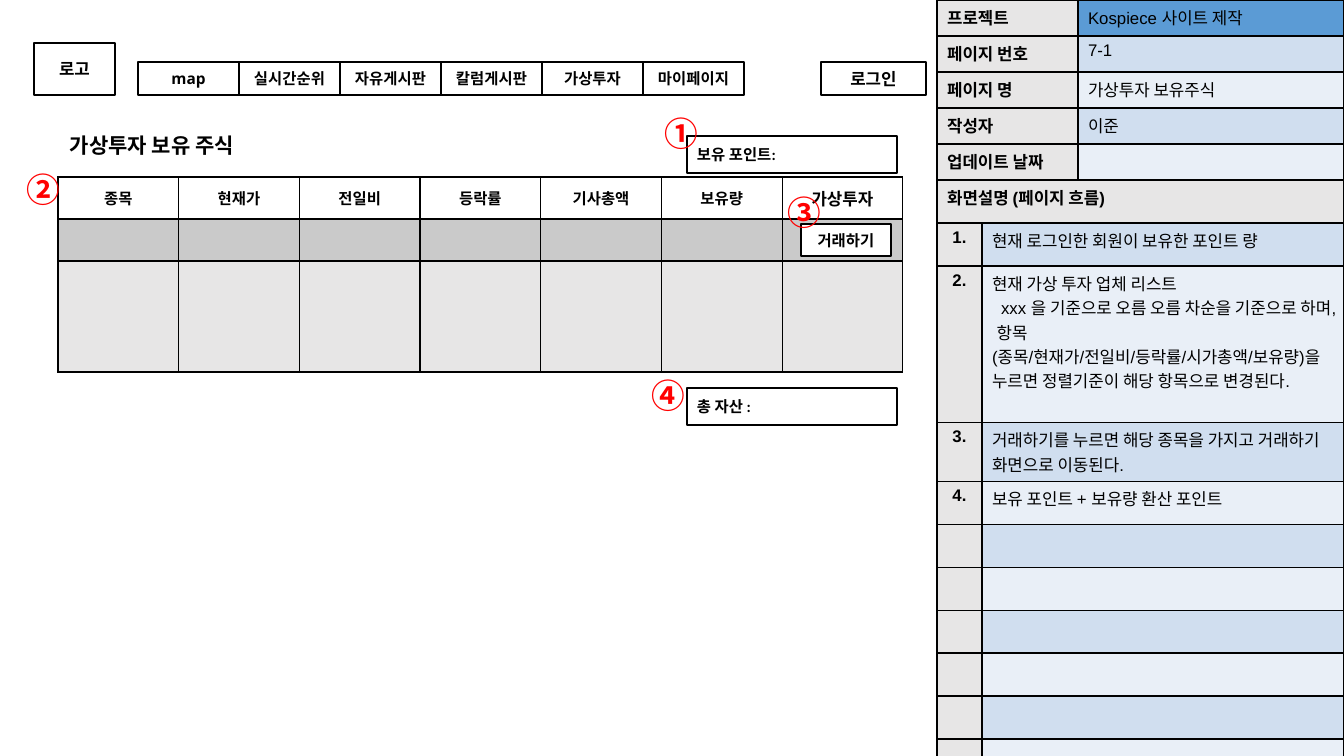
from lxml.etree import SubElement
from pptx import Presentation
from pptx.dml.color import RGBColor
from pptx.enum.shapes import MSO_SHAPE
from pptx.enum.text import MSO_ANCHOR, PP_ALIGN
from pptx.oxml.ns import qn
from pptx.util import Pt

PX = 9071
KOREAN_FONT = "Noto Sans CJK KR"
BLACK, WHITE, RED = "000000", "FFFFFF", "FF0000"
GRAY, DARK_GRAY = "E7E6E6", "CACACA"
BLUE, BLUE_BAND, PALE_BAND = "5B9BD5", "D0DEEF", "E9EFF7"
LEFT, CENTER = PP_ALIGN.LEFT, PP_ALIGN.CENTER


def write_text(text_frame, text, size, font_name, bold=True, align=LEFT, color=BLACK):
    text_frame.text = text
    for paragraph in text_frame.paragraphs:
        paragraph.alignment = align
        for run in paragraph.runs:
            run.font.size = Pt(size)
            run.font.bold = bold
            run.font.name = font_name
            run.font.color.rgb = RGBColor.from_string(color)
            SubElement(run._r.get_or_add_rPr(), qn("a:ea"), typeface=KOREAN_FONT)
        if not paragraph.runs:
            SubElement(paragraph._p, qn("a:endParaRPr"), sz=str(size * 100))


def add_grid(left, top, column_widths, row_heights, fills):
    frame = slide.shapes.add_table(
        len(row_heights), len(column_widths), left * PX, top * PX,
        sum(column_widths), sum(row_heights) * PX)
    table = frame.table
    table.first_row = False
    table.horz_banding = False
    for column, width in zip(table.columns, column_widths):
        column.width = width
    for row, height, row_fills in zip(table.rows, row_heights, fills):
        row.height = height * PX
        for cell, fill in zip(row.cells, row_fills):
            properties = cell._tc.get_or_add_tcPr()
            for side in ("a:lnL", "a:lnR", "a:lnT", "a:lnB"):
                border = SubElement(properties, qn(side), w=str(Pt(1)))
                solid = SubElement(border, qn("a:solidFill"))
                SubElement(solid, qn("a:srgbClr"), val=BLACK)
            cell.fill.solid()
            cell.fill.fore_color.rgb = RGBColor.from_string(fill)
            write_text(cell.text_frame, "", 12, "Arial")
    return table


presentation = Presentation()
presentation.slide_width = 1344 * PX
presentation.slide_height = 756 * PX
slide = presentation.slides.add_slide(presentation.slide_layouts[6])

project_rows = [
    ("프로젝트", "Kospiece 사이트 제작", BLUE),
    ("페이지 번호", "7-1", BLUE_BAND),
    ("페이지 명", "가상투자 보유주식", PALE_BAND),
    ("작성자", "이준", BLUE_BAND),
    ("업데이트 날짜", "", PALE_BAND),
]
project_table = add_grid(937, 0, [141 * PX, 266 * PX], [36] * 5,
                         [(GRAY, fill) for label, value, fill in project_rows])
for row, (label, value, fill) in zip(project_table.rows, project_rows):
    write_text(row.cells[0].text_frame, label, 12, "Arial")
    if value:
        write_text(row.cells[1].text_frame, value, 12, "Arial", bold=False)

descriptions = [
    "현재 로그인한 회원이 보유한 포인트 량",
    "현재 가상 투자 업체 리스트\nxxx 을 기준으로 오름 오름 차순을 기준으로 하며, 항목"
    "(종목/현재가/전일비/등락률/시가총액/보유량)을 누르면 정렬기준이 해당 항목으로 변경된다.",
    "거래하기를 누르면 해당 종목을 가지고 거래하기 화면으로 이동된다.",
    "보유 포인트 + 보유량 환산 포인트",
]
description_fills = [(GRAY, GRAY)] + [(GRAY, BLUE_BAND), (GRAY, PALE_BAND)] * 5
description_table = add_grid(937, 180, [45 * PX, 362 * PX],
                             [43, 43, 136, 52] + [43] * 7, description_fills)
heading = description_table.cell(0, 0)
heading.merge(description_table.cell(0, 1))
write_text(heading.text_frame, "화면설명 (페이지 흐름)", 12, "Arial")
for number, description in enumerate(descriptions, 1):
    write_text(description_table.cell(number, 0).text_frame, f"{number}.", 12, "Arial", align=CENTER)
    write_text(description_table.cell(number, 1).text_frame, description, 12, "Arial", bold=False)
sorting_paragraph = description_table.cell(2, 1).text_frame.paragraphs[1]
sorting_paragraph._p.get_or_add_pPr().set("indent", str(9 * PX))

title = slide.shapes.add_textbox(60 * PX, 127 * PX, 243 * PX, 37 * PX)
title.text_frame.word_wrap = True
title.text_frame.vertical_anchor = MSO_ANCHOR.MIDDLE
write_text(title.text_frame, "가상투자 보유 주식", 15, "Open Sans")

stock_headers = ["종목", "현재가", "전일비", "등락률", "기사총액", "보유량", "가상투자"]
stock_table = add_grid(58, 177, [845 * PX // 7] * 7, [42, 42, 37, 37, 37],
                       [[WHITE] * 7, [DARK_GRAY] * 7] + [[GRAY] * 7] * 3)
for column, header in enumerate(stock_headers):
    cell = stock_table.cell(0, column)
    cell.vertical_anchor = MSO_ANCHOR.MIDDLE
    write_text(cell.text_frame, header, 12 if column == 6 else 11, "Arial", align=CENTER)
    stock_table.cell(2, column).merge(stock_table.cell(4, column))

boxes = [
    ("보유 포인트:", 687, 136, 210, 37, 11, "Calibri", LEFT, WHITE, 1.25),
    ("거래하기", 801, 224, 90, 32, 11, "Calibri", CENTER, WHITE, 1.25),
    ("총 자산 :", 687, 388, 210, 37, 11, "Calibri", LEFT, WHITE, 1.25),
    ("로고", 34, 43, 81, 52, 12, "Open Sans", CENTER, None, 1.5),
    ("로그인", 821, 62, 105, 33, 12, "Open Sans", CENTER, None, 1.5),
]
menu_labels = ["map", "실시간순위", "자유게시판", "칼럼게시판", "가상투자", "마이페이지"]
for position, label in enumerate(menu_labels):
    boxes.append((label, 138 + 101 * position, 62, 101, 33, 11, "Open Sans", CENTER, None, 1.5))
for text, left, top, width, height, size, font_name, align, fill, line_width in boxes:
    shape = slide.shapes.add_shape(MSO_SHAPE.RECTANGLE, left * PX, top * PX, width * PX, height * PX)
    shape.shadow.inherit = False
    if fill:
        shape.fill.solid()
        shape.fill.fore_color.rgb = RGBColor.from_string(fill)
    else:
        shape.fill.background()
    shape.line.color.rgb = RGBColor.from_string(BLACK)
    shape.line.width = Pt(line_width)
    shape.text_frame.word_wrap = True
    shape.text_frame.vertical_anchor = MSO_ANCHOR.MIDDLE
    write_text(shape.text_frame, text, size, font_name, align=align)

for marker, left, top in [("①", 655, 108), ("②", 17, 164), ("③", 778, 187), ("④", 642, 370)]:
    marker_box = slide.shapes.add_textbox(left * PX, top * PX, 60 * PX, 50 * PX)
    marker_box.text_frame.word_wrap = True
    write_text(marker_box.text_frame, marker, 24, KOREAN_FONT, color=RED)

presentation.save("out.pptx")
